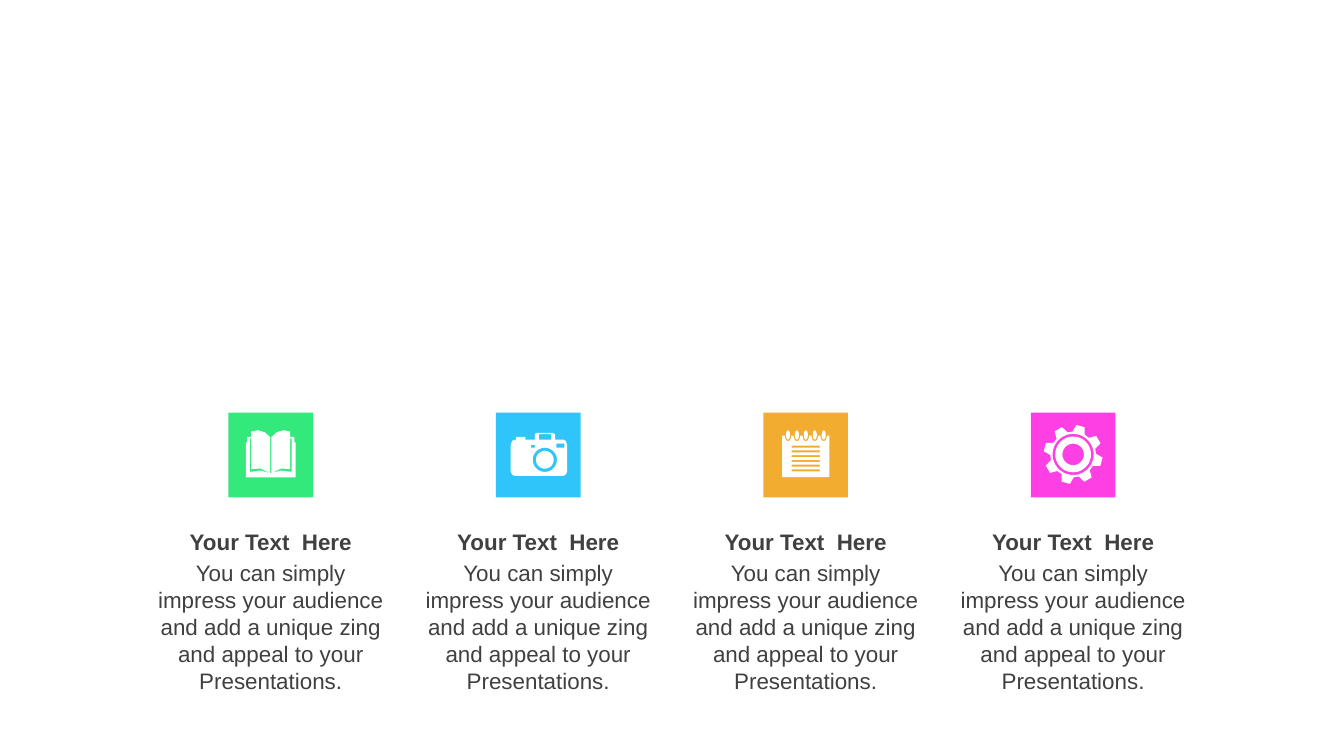
from dataclasses import dataclass
from math import cos, radians, sin

from pptx import Presentation
from pptx.dml.color import RGBColor
from pptx.enum.shapes import MSO_SHAPE
from pptx.enum.text import MSO_AUTO_SIZE, PP_ALIGN
from pptx.util import Inches, Pt


@dataclass(frozen=True)
class Theme:
    """Colours, font and type size of the slide."""
    green: str = "33E97C"
    blue: str = "2FC5FA"
    orange: str = "F2AC30"
    pink: str = "FE3FE4"
    white: str = "FFFFFF"
    text: str = "404040"
    font: str = "Arial"
    size: int = 12


TILE_UNITS = 63
FINE = 100
HEADING = "Your Text  Here"
BODY = "You can simply impress your audience and add a unique zing and appeal to your Presentations."


def polar(cx, cy, rx, ry, degrees):
    """Return the point at a clockwise angle from the top of an ellipse."""
    a = radians(degrees)
    return cx + rx * sin(a), cy - ry * cos(a)


def ellipse(cx, cy, rx, ry):
    """Return an ellipse as a closed contour."""
    return [polar(cx, cy, rx, ry, d) for d in range(0, 360, 10)]


def box(x, y, w, h):
    """Return a rectangle as a closed contour."""
    return [(x, y), (x + w, y), (x + w, y + h), (x, y + h)]


def book():
    """Return the contour of an open book, mirrored about its spine."""
    half = [(32, 45), (39, 43), (47, 44), (47, 19), (46, 19), (46, 42),
            (39, 41.5), (32, 45), (32, 18), (36, 14.5), (41, 13), (46, 14),
            (46, 18), (49, 18), (49, 22), (50, 22), (50, 48)]
    return [half + [(TILE_UNITS - x, y) for x, y in reversed(half)]]


def camera():
    """Return the contours of a camera body, its windows and its lens."""
    body = [(30, 15), (42, 15), (44, 16), (44, 20), (50, 20), (52, 21),
            (53, 24), (53, 44), (52, 46), (50, 47), (14, 47), (12, 46),
            (11, 44), (11, 24), (12, 21), (14, 20), (15, 20), (15, 18),
            (22, 18), (22, 20), (29, 20), (29, 16)]
    windows = [box(26, 24, 3, 2), box(45, 23, 6, 3), box(32, 16, 9, 4)]
    lens = [ellipse(36.4, 35, r, r) for r in (9, 6.6)]
    return [body] + windows + lens


def notepad():
    """Return the contours of a ruled sheet with five binding rings."""
    centres = [18.3 + 6.65 * i for i in range(5)]
    notch = [(-2.4, 17), (-2.4, 18), (-1.5, 20.5), (0, 21.2),
             (1.5, 20.5), (2.4, 18), (2.4, 17)]
    top = [(c + dx, y) for c in centres for dx, y in notch]
    sheet = [(14, 17)] + top + [(49, 17), (49, 48), (14, 48)]
    rules = [box(21, 24.6 + 3.5 * i, 21, 1.5) for i in range(6)]
    rings = [ellipse(c, 16.6, 1.5, 3.4) for c in centres]
    return [sheet] + rules + rings


def gear():
    """Return the contours of an eight-toothed gear with a ring and a hub."""
    cx, cy = 31.5, 31
    tooth = [(17, -16), (22, -8.3), (22, 8.3), (17, 16)]
    rim = [polar(cx, cy, r, r, 14.5 + 45 * i + a)
           for i in range(8) for r, a in tooth]
    return [rim] + [ellipse(cx, cy, r, r) for r in (15.3, 13.3, 8)]


class Deck:
    """Draws elements in the theme on the current slide."""

    def __init__(self, theme):
        self.theme = theme
        self.prs = Presentation()
        self.prs.slide_width = Inches(10)
        self.prs.slide_height = self.prs.slide_width * 9 // 16
        self.s = self.prs.slides.add_slide(self.prs.slide_layouts[6])

    def x(self, percent):
        """Return a percentage of the slide's width."""
        return round(self.prs.slide_width * percent / 100)

    def y(self, percent):
        """Return a percentage of the slide's height."""
        return round(self.prs.slide_height * percent / 100)

    def centre(self, col):
        """Return the middle of a column."""
        return self.x(20.15 + 19.9 * col)

    def paint(self, sp, colour):
        """Give a shape a flat fill without line or shadow."""
        sp.shadow.inherit = False
        sp.fill.solid()
        sp.fill.fore_color.rgb = RGBColor.from_string(colour)
        sp.line.fill.background()

    def tile(self, col, colour):
        """Add the coloured square of a column."""
        side = self.x(6.3)
        sp = self.s.shapes.add_shape(
            MSO_SHAPE.RECTANGLE, self.centre(col) - side // 2, self.y(54.6), side, side)
        self.paint(sp, colour)
        return sp

    def icon(self, tile, contours):
        """Add a white outline drawn in tile units."""
        fine = [[(x * FINE, y * FINE) for x, y in c] for c in contours]
        builder = self.s.shapes.build_freeform(
            *fine[0][0], scale=tile.width / (TILE_UNITS * FINE))
        builder.add_line_segments(fine[0][1:])
        for contour in fine[1:]:
            builder.move_to(*contour[0])
            builder.add_line_segments(contour[1:])
        self.paint(builder.convert_to_shape(tile.left, tile.top), self.theme.white)

    def text(self, group, col, top, height, words, bold=False):
        """Add a centred text box to the group of a column."""
        width = self.x(19.1)
        sp = group.shapes.add_textbox(
            self.centre(col) - width // 2, self.y(top), width, self.y(height))
        tf = sp.text_frame
        tf.word_wrap = True
        tf.auto_size = MSO_AUTO_SIZE.SHAPE_TO_FIT_TEXT
        p = tf.paragraphs[0]
        p.alignment = PP_ALIGN.CENTER
        r = p.add_run()
        r.text = words
        r.font.name, r.font.size, r.font.bold = self.theme.font, Pt(self.theme.size), bold
        r.font.color.rgb = RGBColor.from_string(self.theme.text)

    def caption(self, col):
        """Add the heading and body of a column as one group."""
        group = self.s.shapes.add_group_shape()
        self.text(group, col, 73.1, 19.7, BODY)
        self.text(group, col, 69, 5.3, HEADING, bold=True)


def main():
    """Build and save the slide."""
    theme = Theme()
    deck = Deck(theme)
    columns = [(theme.green, book), (theme.blue, camera),
               (theme.orange, notepad), (theme.pink, gear)]
    for col, (colour, outline) in enumerate(columns):
        deck.icon(deck.tile(col, colour), outline())
        deck.caption(col)
    deck.prs.save("out.pptx")


if __name__ == "__main__":
    main()
